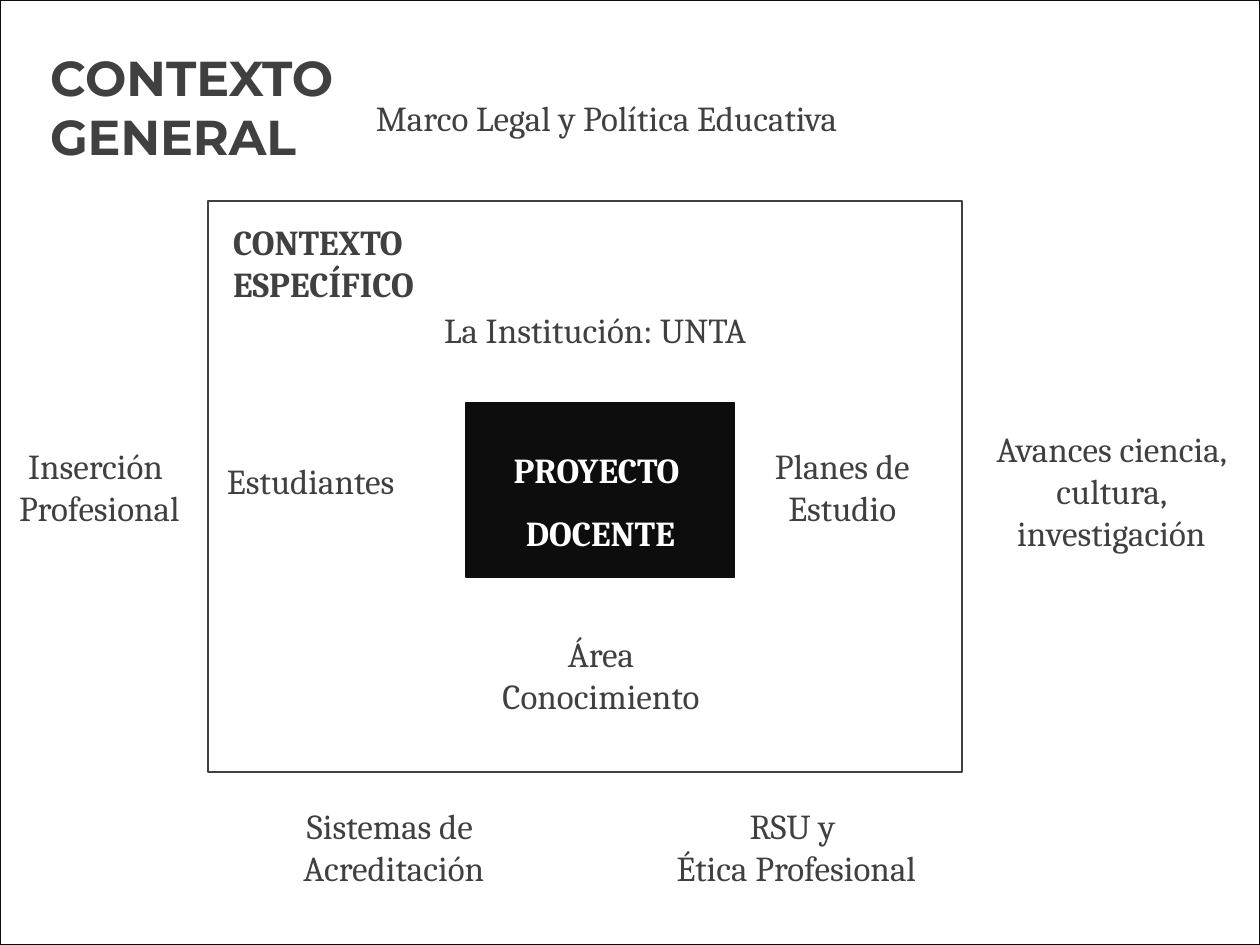
from dataclasses import dataclass

from pptx import Presentation
from pptx.dml.color import RGBColor
from pptx.enum.shapes import MSO_SHAPE as Shape
from pptx.enum.text import MSO_ANCHOR as Anchor, MSO_AUTO_SIZE as AutoSize, PP_ALIGN as Align
from pptx.util import Cm, Pt

GREY, BLACK, WHITE = "404040", "0D0D0D", "FFFFFF"
WIDTH, HEIGHT = 25.4, 19.05


@dataclass(frozen=True)
class Box:
    """Position and size in centimetres."""
    left: float
    top: float
    width: float
    height: float

    def lengths(self) -> list[Cm]:
        return [Cm(value) for value in (self.left, self.top, self.width, self.height)]


@dataclass(frozen=True)
class Topic:
    text: str
    box: Box


TOPICS = [
    # Specific context
    Topic("La Institución: UNTA", Box(5.08, 5.92, 13.84, 1.45)),
    Topic("Área Conocimiento", Box(9.6, 12.88, 5.03, 1.45)),
    Topic("Planes de Estudio", Box(14.68, 8.31, 4.6, 3)),
    Topic("Estudiantes", Box(4.17, 8.97, 4.19, 1.45)),
    # General context
    Topic("Marco Legal y Política Educativa", Box(5.31, 0.86, 13.84, 3)),
    Topic("Sistemas de \nAcreditación", Box(5.21, 15.57, 5.46, 3)),
    Topic("RSU y \nÉtica Profesional", Box(12.7, 15.57, 6.71, 3)),
    Topic("Inserción \nProfesional", Box(0.05, 8.05, 3.91, 3.51)),
]
ADVANCES = Topic("Avances ciencia, cultura, investigación", Box(19.46, 8.13, 5.89, 3.51))
PROJECT = Topic("PROYECTO \nDOCENTE", Box(9.4, 8.13, 5.41, 3.51))
GENERAL_TITLE = Topic("CONTEXTO\nGENERAL", Box(0.76, 0.84, 11.25, 2.64))
SPECIFIC_TITLE = Topic("CONTEXTO\nESPECÍFICO", Box(4.45, 4.32, 5.41, 1.96))
SPECIFIC_FRAME = Box(4.19, 4.06, 15.21, 11.51)
GENERAL_FRAME = Box(0, 0, WIDTH, HEIGHT)


def rgb(color: str) -> RGBColor:
    return RGBColor.from_string(color)


def write(shape, text: str, *, size: float = 20, font: str = "Cambria", color: str = GREY,
          bold: bool = False, align=Align.CENTER, anchor=Anchor.MIDDLE,
          spacing: float = 1.0, wrap: bool = True, grow: bool = False) -> None:
    """Fill a shape with one paragraph per line of text."""
    frame = shape.text_frame
    frame.word_wrap = wrap
    frame.vertical_anchor = anchor
    frame.auto_size = AutoSize.SHAPE_TO_FIT_TEXT if grow else AutoSize.NONE
    frame.text = text
    for paragraph in frame.paragraphs:
        paragraph.alignment = align
        paragraph.line_spacing = spacing
        for run in paragraph.runs:
            run.font.size = Pt(size)
            run.font.name = font
            run.font.bold = bold
            run.font.color.rgb = rgb(color)


def add_text(slide, topic: Topic, **text_format) -> None:
    write(slide.shapes.add_textbox(*topic.box.lengths()), topic.text, **text_format)


def add_rectangle(slide, box: Box, *, line: str, fill: str | None = None):
    shape = slide.shapes.add_shape(Shape.RECTANGLE, *box.lengths())
    shape.shadow.inherit = False
    if fill:
        shape.fill.solid()
        shape.fill.fore_color.rgb = rgb(fill)
    else:
        shape.fill.background()
    shape.line.color.rgb = rgb(line)
    shape.line.width = Pt(1)
    return shape


def main() -> None:
    presentation = Presentation()
    presentation.slide_width, presentation.slide_height = Cm(WIDTH), Cm(HEIGHT)
    slide = presentation.slides.add_slide(presentation.slide_layouts[6])

    project = add_rectangle(slide, PROJECT.box, line=BLACK, fill=BLACK)
    write(project, PROJECT.text, color=WHITE, bold=True, spacing=1.5)
    advances = add_rectangle(slide, ADVANCES.box, line=WHITE)
    write(advances, ADVANCES.text)
    add_rectangle(slide, SPECIFIC_FRAME, line=GREY)
    add_rectangle(slide, GENERAL_FRAME, line=BLACK)

    for topic in TOPICS:
        add_text(slide, topic)

    heading = dict(bold=True, align=Align.LEFT, anchor=Anchor.TOP, grow=True)
    add_text(slide, GENERAL_TITLE, size=28, font="Montserrat", **heading)
    add_text(slide, SPECIFIC_TITLE, wrap=False, **heading)

    presentation.save("out.pptx")


if __name__ == "__main__":
    main()
